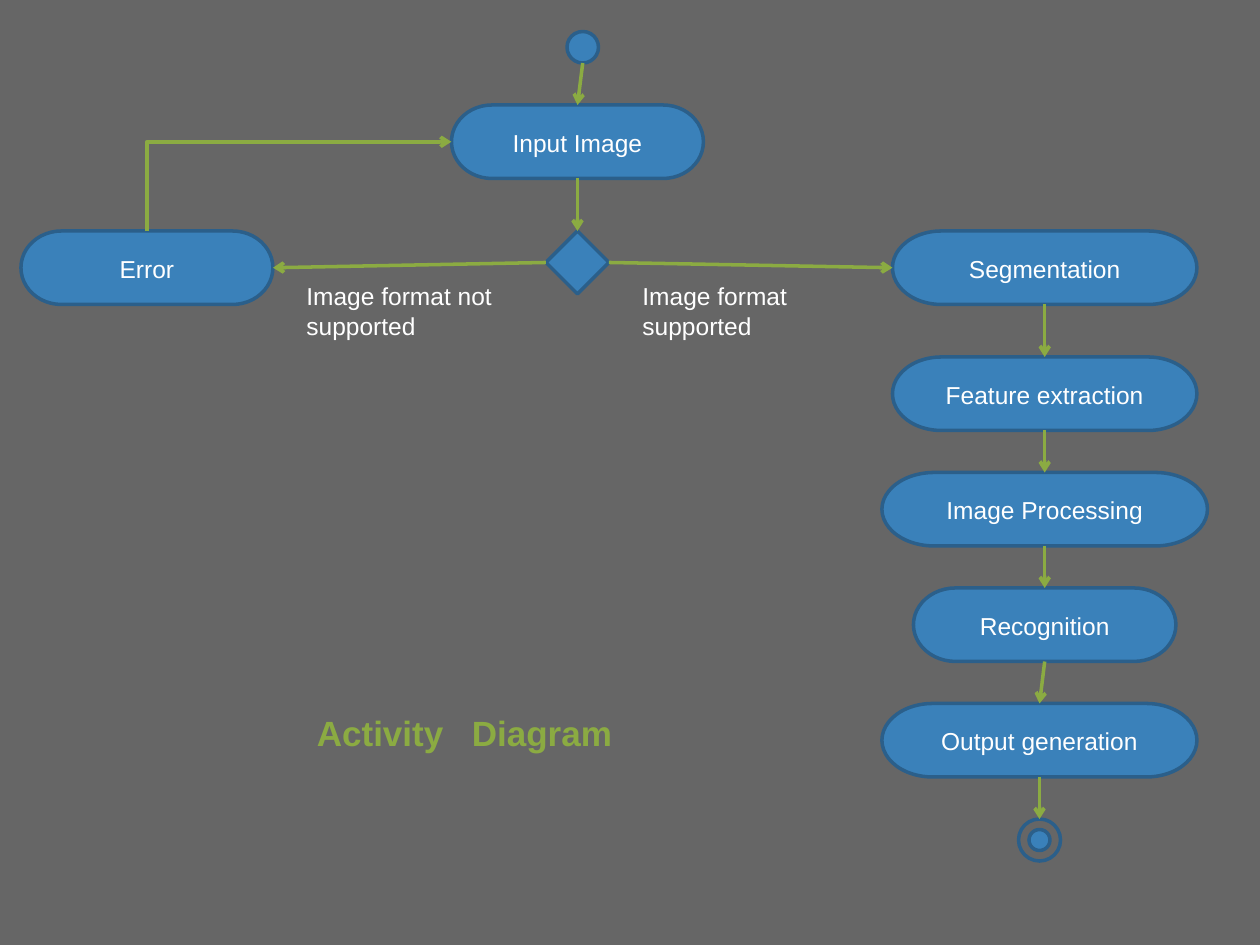
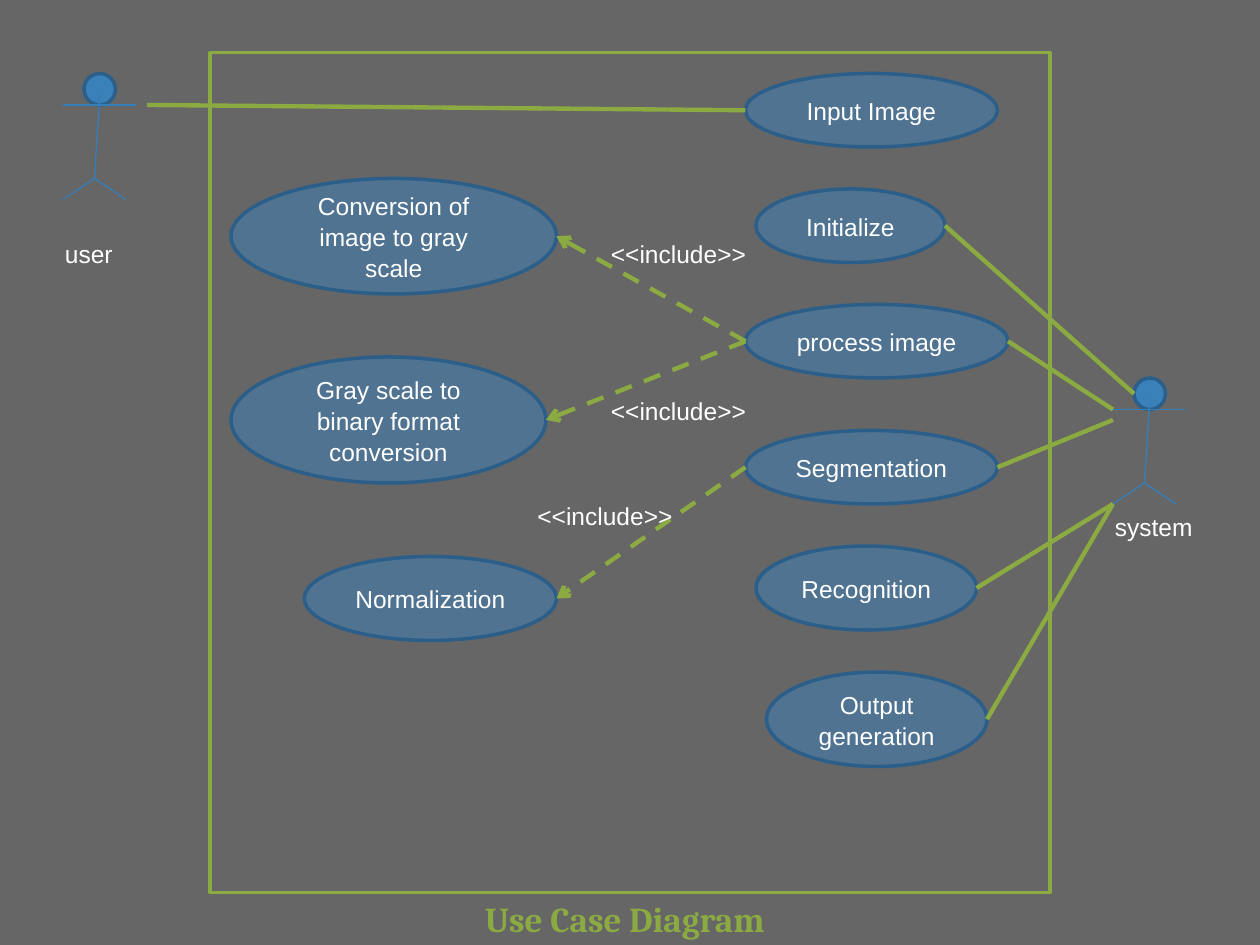
import itertools

import pptx
import pptx.dml.color
import pptx.enum.dml
import pptx.enum.shapes
import pptx.enum.text
import pptx.oxml
import pptx.oxml.ns
import pptx.shapes.base
import pptx.util

COLORS = {
    "background": "666666",
    "node": "3A81BA",
    "outline": "2B5F8A",
    "accent": "8BAB42",
    "limb": "367EB9",
    "label": "FFFFFF",
}
COLUMNS, ROWS = 120, 90
CELL = pptx.util.Inches(10) // COLUMNS
TOP, LEFT, BOTTOM, RIGHT = range(4)
SHAPES = pptx.enum.shapes.MSO_SHAPE
CONNECTORS = pptx.enum.shapes.MSO_CONNECTOR
ALIGN = pptx.enum.text.PP_ALIGN


def cells(*counts):
    return [pptx.util.Emu(round(count * CELL)) for count in counts]


def color(name):
    return pptx.dml.color.RGBColor.from_string(COLORS[name])


def append_xml(parent, tag, **attributes):
    element = parent.makeelement(pptx.oxml.ns.qn(tag), attributes)
    parent.append(element)
    return element


def write(frame, text, size=14, font="Arial", fill="label", bold=False,
          align=ALIGN.LEFT, wrap=True, tab=None):
    frame.word_wrap = wrap
    paragraph = frame.paragraphs[0]
    paragraph.alignment = align
    paragraph.line_spacing = 1.05
    if tab:
        stops = append_xml(paragraph._p.get_or_add_pPr(), "a:tabLst")
        append_xml(stops, "a:tab", pos=str(pptx.util.Inches(tab)), algn="l")
    run = paragraph.add_run()
    run.text = text
    run.font.size = pptx.util.Pt(size)
    run.font.name = font
    run.font.bold = bold
    run.font.color.rgb = color(fill)


def add_label(slide, text, place, **style):
    box = slide.shapes.add_textbox(*cells(*place))
    box.text_frame.auto_size = pptx.enum.text.MSO_AUTO_SIZE.SHAPE_TO_FIT_TEXT
    write(box.text_frame, text, **style)


def add_title(slide, text, place, **style):
    add_label(slide, text, place, size=20, fill="accent", bold=True, **style)


def add_node(slide, kind, place, text="", fill="node", line="outline", opacity=100):
    node = slide.shapes.add_shape(kind, *cells(*place))
    node.shadow.inherit = False
    if fill:
        node.fill.solid()
        node.fill.fore_color.rgb = color(fill)
        if opacity < 100:
            tint = node._element.spPr.find(".//" + pptx.oxml.ns.qn("a:srgbClr"))
            append_xml(tint, "a:alpha", val=str(opacity * 1000))
    else:
        node.fill.background()
    node.line.color.rgb = color(line)
    node.line.width = pptx.util.Pt(2)
    if text:
        node.text_frame.vertical_anchor = pptx.enum.text.MSO_ANCHOR.MIDDLE
        write(node.text_frame, text, align=ALIGN.CENTER)
    return node


def side_point(node, side):
    across = {LEFT: 0, RIGHT: 1}.get(side, 0.5)
    down = {TOP: 0, BOTTOM: 1}.get(side, 0.5)
    return ((node.left + across * node.width) / CELL,
            (node.top + down * node.height) / CELL)


def is_joint(end):
    return isinstance(end[0], pptx.shapes.base.BaseShape)


def add_link(slide, start, end, kind=CONNECTORS.STRAIGHT, line="accent",
             width=2, dashed=False, arrow=None):
    points = [side_point(*place) if is_joint(place) else place for place in (start, end)]
    link = slide.shapes.add_connector(kind, *cells(*points[0], *points[1]))
    if is_joint(start):
        link.begin_connect(*start)
    if is_joint(end):
        link.end_connect(*end)
    link.line.color.rgb = color(line)
    link.line.width = pptx.util.Pt(width)
    if dashed:
        link.line.dash_style = pptx.enum.dml.MSO_LINE.DASH
    if arrow:
        append_xml(link.line._get_or_add_ln(), arrow, type="arrow")
    append_xml(link._element.spPr, "a:effectLst")
    return link


def add_flow(slide, start, end):
    add_link(slide, start, end, arrow="a:tailEnd")


def add_corner_flow(slide, target, source):
    link = add_link(slide, target, source, kind=CONNECTORS.ELBOW, arrow="a:headEnd")
    outline = link._element.spPr.find(pptx.oxml.ns.qn("a:prstGeom"))
    outline.set("prst", "bentConnector2")


def add_actor(slide, left, top):
    add_node(slide, SHAPES.OVAL, (left + 2, top, 3, 3))
    neck, hip = (left + 3.5, top + 2), (left + 3, top + 10)
    limbs = [
        (neck, hip),
        ((left, top + 3), (left + 7, top + 3)),
        (hip, (left, top + 12)),
        (hip, (left + 6, top + 12)),
    ]
    for start, end in limbs:
        add_link(slide, start, end, line="limb", width=0.75)


def add_slide(deck):
    slide = deck.slides.add_slide(deck.slide_layouts[6])
    slide.background.fill.solid()
    slide.background.fill.fore_color.rgb = color("background")
    return slide


def build_activity(deck):
    slide = add_slide(deck)

    def step(text, left, top, width):
        return add_node(slide, SHAPES.FLOWCHART_TERMINATOR, (left, top, width, 7), text)

    start = add_node(slide, SHAPES.OVAL, (54, 3, 3, 3))
    input_image = step("Input Image", 43, 10, 24)
    error = step("Error", 2, 22, 24)
    decision = add_node(slide, SHAPES.DIAMOND, (52, 22, 6, 6))
    pipeline = [
        step("Segmentation", 85, 22, 29),
        step("Feature extraction", 85, 34, 29),
        step("Image Processing", 84, 45, 31),
        step("Recognition", 87, 56, 25),
        step("Output generation", 84, 67, 30),
    ]
    finish = add_node(slide, SHAPES.OVAL, (97, 78, 4, 4), fill=None)
    add_node(slide, SHAPES.OVAL, (98, 79, 2, 2))

    add_flow(slide, side_point(start, BOTTOM), (input_image, TOP))
    add_flow(slide, (input_image, BOTTOM), (decision, TOP))
    add_flow(slide, (decision, LEFT), (error, RIGHT))
    add_flow(slide, (decision, RIGHT), (pipeline[0], LEFT))
    add_corner_flow(slide, (input_image, LEFT), (error, TOP))
    for upper, lower in itertools.pairwise(pipeline + [finish]):
        add_flow(slide, (upper, BOTTOM), (lower, TOP))

    add_label(slide, "Image format not supported", (28, 26, 24, 6.84))
    add_label(slide, "Image format supported", (60, 26, 22, 6.84))
    add_title(slide, "Activity\tDiagram", (29, 67, 60, 5.28), tab=1.23)


def build_use_cases(deck):
    slide = add_slide(deck)
    add_node(slide, SHAPES.RECTANGLE, (20, 5, 80, 80), fill=None, line="accent")

    def use_case(text, *place):
        return add_node(slide, SHAPES.OVAL, place, text, opacity=50)

    input_image = use_case("Input Image", 71, 7, 24, 7)
    initialize = use_case("Initialize", 72, 18, 18, 7)
    process = use_case("process image", 71, 29, 25, 7)
    segmentation = use_case("Segmentation", 71, 41, 24, 7)
    recognition = use_case("Recognition", 72, 52, 21, 8)
    normalization = use_case("Normalization", 29, 53, 24, 8)
    binary = use_case("Gray scale to binary format conversion", 22, 34, 30, 12)
    gray = use_case("Conversion of image to gray scale", 22, 17, 31, 11)
    output = use_case("Output generation", 73, 64, 21, 9)

    includes = [
        (process, gray, (57, 22)),
        (process, binary, (57, 37)),
        (segmentation, normalization, (50, 47)),
    ]
    for base, included, _ in includes:
        add_link(slide, side_point(base, LEFT), side_point(included, RIGHT),
                 width=2.5, dashed=True, arrow="a:tailEnd")

    add_actor(slide, 6, 7)
    add_actor(slide, 106, 36)
    add_link(slide, (14, 10), side_point(input_image, LEFT), width=2.5)
    system_links = [
        ((108, 37.5), initialize),
        ((106, 39), process),
        ((106, 40), segmentation),
        ((106, 48), recognition),
        ((106, 48), output),
    ]
    for hand, case in system_links:
        add_link(slide, hand, side_point(case, RIGHT), width=2.5)

    add_title(slide, "Use Case Diagram", (45, 84.72, 35, 5.28), font="Cambria")
    add_label(slide, "user", (5, 22, 8, 4.08))
    add_label(slide, "system", (105, 48, 9.84, 4.08), wrap=False)
    for _, _, corner in includes:
        add_label(slide, "<<include>>", (*corner, 15.36, 4.08), wrap=False)


def main():
    deck = pptx.Presentation()
    deck.slide_width, deck.slide_height = cells(COLUMNS, ROWS)
    build_activity(deck)
    build_use_cases(deck)
    deck.save("out.pptx")


if __name__ == "__main__":
    main()
